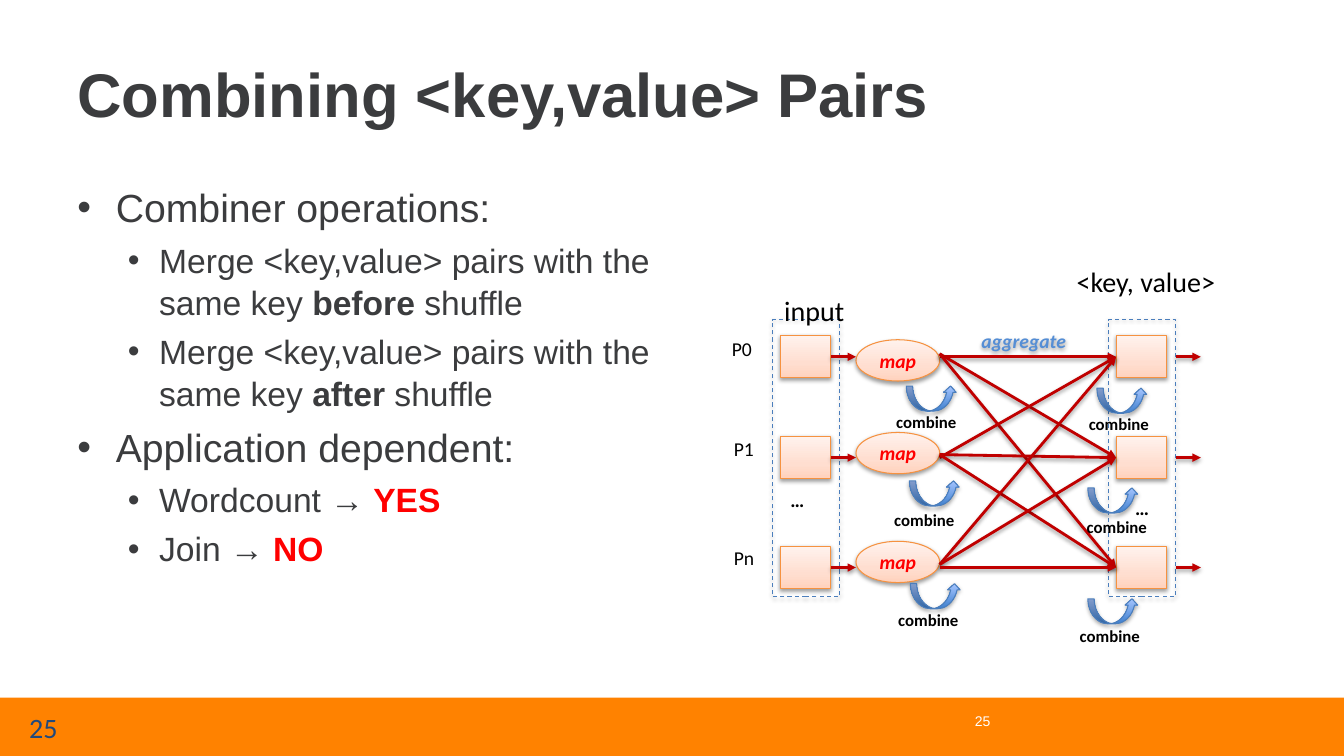
from lxml.etree import SubElement
from pptx import Presentation
from pptx.dml.color import RGBColor
from pptx.enum.dml import MSO_LINE
from pptx.enum.shapes import MSO_CONNECTOR, MSO_SHAPE
from pptx.enum.text import MSO_ANCHOR, MSO_AUTO_SIZE, PP_ALIGN
from pptx.oxml.ns import qn
from pptx.util import Pt

PX = 9144
COLORS = {
    "ink": "3B3C3E", "red": "FF0000", "black": "000000", "white": "FFFFFF",
    "footer": "FF8200", "navy": "1F497D", "aggregate": "558ED5",
    "arrow": "C00000", "peach_line": "F69240", "blue_line": "4B7EBC",
}
PEACH = [(0, "FFD2BD"), (35, "FFDED0"), (100, "FFF2ED")]
BLUE = [(0, "3F80CE"), (100, "A4C4FF")]


def rgb(name):
    return RGBColor.from_string(COLORS[name])


def emu(*lengths):
    return [n * PX for n in lengths]


def add_node(parent, tag, **attrs):
    return SubElement(parent, qn(tag), {k: str(v) for k, v in attrs.items()})


def style_run(r, size, color, font="Calibri", bold=False, italic=False):
    r.font.size = Pt(size)
    r.font.name = font
    r.font.bold = bold
    r.font.italic = italic
    r.font.color.rgb = rgb(color)


def add_text(s, box, text, size, color="black", anchor=None, align=None, **style):
    sp = s.shapes.add_textbox(*emu(*box))
    tf = sp.text_frame
    tf.text = text
    if anchor:
        tf.word_wrap = True
        tf.vertical_anchor = anchor
    else:
        tf.word_wrap = False
        tf.auto_size = MSO_AUTO_SIZE.SHAPE_TO_FIT_TEXT
    p = tf.paragraphs[0]
    p.alignment = align
    style_run(p.runs[0], size, color, **style)


def add_shadow(effects, alpha=38):
    shadow = add_node(effects, "a:outerShdw", blurRad=Pt(3.1), dist=Pt(1.6),
                      dir=5400000, rotWithShape=0)
    color = add_node(shadow, "a:srgbClr", val=COLORS["black"])
    add_node(color, "a:alpha", val=alpha * 1000)


def add_figure(s, kind, box, line=None, stops=None, alpha=38):
    sp = s.shapes.add_shape(kind, *emu(*box))
    sp.shadow.inherit = False
    add_shadow(sp.element.spPr.find(qn("a:effectLst")), alpha)
    if stops:
        grad = add_node(sp.element.spPr, "a:gradFill", rotWithShape=1)
        gs_list = add_node(grad, "a:gsLst")
        for pos, color in stops:
            gs = add_node(gs_list, "a:gs", pos=pos * 1000)
            add_node(gs, "a:srgbClr", val=color)
        add_node(grad, "a:lin", ang=16200000, scaled=0)
        sp.element.spPr.find(qn("a:prstGeom")).addnext(grad)
    else:
        sp.fill.background()
    if line:
        sp.line.color.rgb = rgb(line)
        sp.line.width = Pt(0.75)
    else:
        sp.line.fill.background()
    return sp


def add_oval_text(sp, text, color):
    tf = sp.text_frame
    tf.text = text
    tf.word_wrap = False
    tf.vertical_anchor = MSO_ANCHOR.MIDDLE
    p = tf.paragraphs[0]
    p.alignment = PP_ALIGN.CENTER
    style_run(p.runs[0], 14, color, bold=True, italic=True)


def add_arrow(s, start, end, source=None, target=None):
    cx = s.shapes.add_connector(MSO_CONNECTOR.STRAIGHT, *emu(*start, *end))
    if source:
        cx.begin_connect(source, 3)
    if target:
        cx.end_connect(target, 1)
    cx.line.color.rgb = rgb("arrow")
    cx.line.width = Pt(2)
    add_node(cx.line._get_or_add_ln(), "a:tailEnd", type="triangle")
    add_shadow(add_node(cx._element.spPr, "a:effectLst"))


def add_body(s, box):
    items = [
        (0, [("Combiner operations:", "ink", False)]),
        (1, [("Merge <key,value> pairs with the same key ", "ink", False),
             ("before ", "ink", True), ("shuffle", "ink", False)]),
        (1, [("Merge <key,value> pairs with the same key ", "ink", False),
             ("after ", "ink", True), ("shuffle", "ink", False)]),
        (0, [("Application dependent:", "ink", False)]),
        (1, [("Wordcount → ", "ink", False), ("YES", "red", True)]),
        (1, [("Join → ", "ink", False), ("NO", "red", True)]),
    ]
    tf = s.shapes.add_textbox(*emu(*box)).text_frame
    tf.word_wrap = True
    for i, (level, runs) in enumerate(items):
        p = tf.paragraphs[0] if i == 0 else tf.add_paragraph()
        size = (28, 24)[level]
        margin, hang = ((38, 38), (81, 31))[level]
        p.level = level
        p.line_spacing = 1.05
        if i:
            p.space_before = Pt(size * 0.2)
        pPr = p._p.get_or_add_pPr()
        pPr.set("marL", str(margin * PX))
        pPr.set("indent", str(-hang * PX))
        add_node(pPr, "a:buFont", typeface="Arial")
        add_node(pPr, "a:buChar", char="•")
        for text, color, bold in runs:
            r = p.add_run()
            r.text = text
            style_run(r, size, color, "Arial", bold)


def add_diagram(s, x, y):
    rows = [y + 96, y + 196, y + 305]
    map_tops = [y + 79, y + 171, y + 279]
    input_x, map_x, shuffle_x, reduce_x = x + 58, x + 133, x + 216, x + 391

    for left in (50, 383):
        frame = add_figure(s, MSO_SHAPE.RECTANGLE, (x + left, y + 59, 67, 275),
                           "blue_line", alpha=35)
        frame.line.dash_style = MSO_LINE.DASH

    inputs, reducers = [
        [add_figure(s, MSO_SHAPE.RECTANGLE, (left, mid - 21, 50, 42), "peach_line", PEACH)
         for mid in rows] for left in (input_x, reduce_x)]

    label = add_figure(s, MSO_SHAPE.OVAL, (shuffle_x, y + 59, 167, 41))
    add_oval_text(label, "aggregate", "aggregate")

    for mid, top, box in zip(rows, map_tops, inputs):
        oval = add_figure(s, MSO_SHAPE.OVAL, (map_x, top, 83, 41), "peach_line", PEACH)
        add_oval_text(oval, "map", "red")
        add_arrow(s, (input_x + 50, mid), (map_x, mid), source=box)
        add_arrow(s, (x + 450, mid), (x + 475, mid))

    lower_starts = {(0, 0), (1, 0), (2, 2)}
    for i, start in enumerate(rows):
        for j, end in enumerate(rows):
            rise = 0 if (i, j) in lower_starts else 3
            add_arrow(s, (shuffle_x, start - rise), (reduce_x, end), target=reducers[j])

    for text, left, top in (("P0", 0, 71), ("P1", 2, 171), ("Pn", 2, 279)):
        add_text(s, (x + left, y + top, 40, 34), text, 14)
    for left, top in ((58, 221), (400, 229)):
        add_text(s, (x + left, y + top, 34, 34), "…", 14, bold=True)
    add_text(s, (x + 52, y + 28, 80, 44), "input", 20)
    add_text(s, (x + 342, y, 159, 44), "<key, value>", 20)

    combines = [
        ((183, 125), (163, 146)), ((372, 127), (354, 148)),
        ((186, 219), (161, 243)), ((363, 226), (352, 250)),
        ((187, 321), (165, 342)), ((363, 336), (345, 358)),
    ]
    for (left, top), (text_left, text_top) in combines:
        add_figure(s, MSO_SHAPE.CURVED_UP_ARROW, (x + left, y + top, 50, 25),
                   "blue_line", BLUE, 35)
        add_text(s, (x + text_left, y + text_top, 81, 30), "combine", 12, bold=True)


def add_footer(s, x, y, w, h):
    bar = s.shapes.add_shape(MSO_SHAPE.RECTANGLE, *emu(x, y, w, h))
    bar.shadow.inherit = False
    bar.fill.solid()
    bar.fill.fore_color.rgb = rgb("footer")
    bar.line.fill.background()
    add_text(s, (x + 681, y + 3, 311, 40), "25", 10, "white",
             MSO_ANCHOR.MIDDLE, PP_ALIGN.RIGHT, font="Arial")
    add_text(s, (x + 19, y + 10, 212, 40), "25", 20, "navy", MSO_ANCHOR.MIDDLE)


def main():
    prs = Presentation()
    prs.slide_width, prs.slide_height = emu(1333, 750)
    s = prs.slides.add_slide(prs.slide_layouts[6])
    add_footer(s, 0, 692, 1333, 58)
    add_text(s, (67, 30, 1200, 125), "Combining <key,value> Pairs", 44, "ink",
             MSO_ANCHOR.MIDDLE, font="Arial", bold=True)
    add_body(s, (67, 175, 589, 495))
    add_diagram(s, 716, 258)
    prs.save("out.pptx")


if __name__ == "__main__":
    main()
